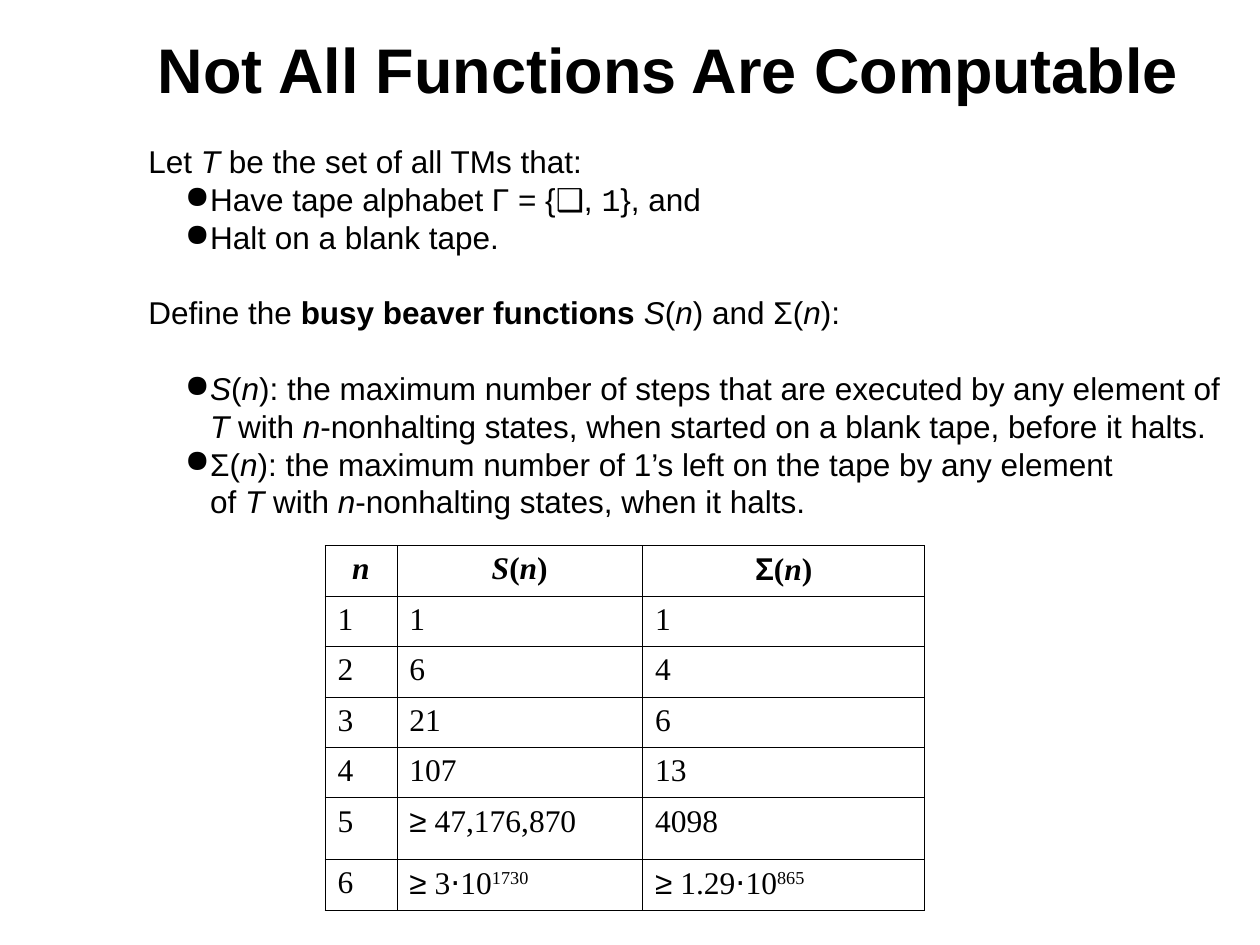
from dataclasses import dataclass

import pptx
import pptx.dml.color
import pptx.enum.text
import pptx.oxml.ns
import pptx.util
from lxml import etree
from pptx.util import Inches, Pt


@dataclass(frozen=True)
class Theme:
    ink: str = "000000"
    sans: str = "Arial"
    serif: str = "Times New Roman"
    mono: str = "Courier New"
    title_size: float = 36
    text_size: float = 18
    line_height: float = 21.6
    border: float = 0.45


THEME = Theme()
ALIGN = pptx.enum.text.PP_ALIGN

# A string is a plain span; a pair is (text, style).
# Styles: i italic, b bold, ^ superscript, m mono, a sans.
T, N, S = ("T", "i"), ("n", "i"), ("S", "i")
TITLE = "Not All Functions Are Computable"
# Each paragraph: (is bullet, blank line before, lines of spans)
BODY = [
    (False, False, [["Let ", T, " be the set of all TMs that:"]]),
    (True, False, [["Have tape alphabet Γ = {❑, ", ("1", "m"), "}, and"]]),
    (True, False, [["Halt on a blank tape."]]),
    (False, True, [["Define the ", ("busy beaver functions ", "b"), S, "(", N,
                    ") and Σ(", N, "):"]]),
    (True, True, [
        [S, "(", N, "): the maximum number of steps that are executed by any element of"],
        [T, " with ", N, "-nonhalting states, when started on a blank tape, before it halts."],
    ]),
    (True, False, [
        ["Σ(", N, "): the maximum number of 1’s left on the tape by any element"],
        ["of ", T, " with ", N, "-nonhalting states, when it halts."],
    ]),
]
AT_LEAST, TIMES = ("≥", "a"), ("⋅", "a")
ROWS = [
    [[N], [S, "(", N, ")"], [("Σ", "a"), "(", N, ")"]],
    [["1"], ["1"], ["1"]],
    [["2"], ["6"], ["4"]],
    [["3"], ["21"], ["6"]],
    [["4"], ["107"], ["13"]],
    [["5"], [AT_LEAST, " 47,176,870"], ["4098"]],
    [["6"], [AT_LEAST, " 3", TIMES, "10", ("1730", "^")],
     [AT_LEAST, " 1.29", TIMES, "10", ("865", "^")]],
]
COLUMN_WIDTHS = [0.57, 1.95, 2.24]
ROW_HEIGHTS = [0.4] * 5 + [0.49, 0.4]


def set_font(font, name, size, bold=False):
    font.name, font.size, font.bold = name, Pt(size), bold
    font.color.rgb = pptx.dml.color.RGBColor.from_string(THEME.ink)


def add_spans(para, spans):
    for item in spans:
        text, style = (item, "") if isinstance(item, str) else item
        span = para.add_run()
        span.text = text
        if style == "i":
            span.font.italic = True
        elif style == "b":
            span.font.bold = True
        elif style == "m":
            span.font.name = THEME.mono
        elif style == "a":
            span.font.name = THEME.sans
        elif style == "^":
            span.font._element.set("baseline", "30000")


def add_bullet(para):
    properties = para._p.get_or_add_pPr()
    properties.set("marL", str(Inches(0.49)))
    properties.set("indent", str(Inches(-0.2)))
    bullet = etree.SubElement(properties, pptx.oxml.ns.qn("a:buChar"))
    bullet.set("char", "●")


def add_borders(cell):
    properties = cell._tc.get_or_add_tcPr()
    for place, side in enumerate(("lnL", "lnR", "lnT", "lnB")):
        line = etree.Element(pptx.oxml.ns.qn("a:" + side), w=str(Pt(THEME.border)))
        fill = etree.SubElement(line, pptx.oxml.ns.qn("a:solidFill"))
        etree.SubElement(fill, pptx.oxml.ns.qn("a:srgbClr"), val=THEME.ink)
        properties.insert(place, line)


def add_title(page):
    title = page.shapes.title
    title.left, title.top, title.width, title.height = map(Inches, (0.75, 0.08, 9.25, 0.92))
    frame = title.text_frame
    frame.text = TITLE
    frame.auto_size = pptx.enum.text.MSO_AUTO_SIZE.NONE
    frame.vertical_anchor = pptx.enum.text.MSO_ANCHOR.MIDDLE
    frame.margin_right = Inches(0.24)
    para = frame.paragraphs[0]
    para.alignment = ALIGN.CENTER
    set_font(para.font, THEME.sans, THEME.title_size, bold=True)


def add_body(page):
    box = page.shapes.add_textbox(*map(Inches, (1.08, 1.08, 8.83, 3.1)))
    frame = box.text_frame
    frame.word_wrap = True
    frame.auto_size = pptx.enum.text.MSO_AUTO_SIZE.SHAPE_TO_FIT_TEXT
    for index, (is_bullet, gap, lines) in enumerate(BODY):
        para = frame.add_paragraph() if index else frame.paragraphs[0]
        if is_bullet:
            add_bullet(para)
        para.line_spacing = Pt(THEME.line_height)
        para.space_before = Pt(THEME.line_height if gap else 0)
        set_font(para.font, THEME.sans, THEME.text_size)
        for number, spans in enumerate(lines):
            if number:
                para.add_line_break()
            add_spans(para, spans)


def add_values(page):
    frame = page.shapes.add_table(
        len(ROWS), len(COLUMN_WIDTHS), Inches(2.58), Inches(4.33),
        Inches(sum(COLUMN_WIDTHS)), Inches(sum(ROW_HEIGHTS)))
    table = frame.table
    table.first_row = table.horz_banding = False
    for column, width in zip(table.columns, COLUMN_WIDTHS):
        column.width = Inches(width)
    for row, height, contents in zip(table.rows, ROW_HEIGHTS, ROWS):
        row.height = Inches(height)
        is_header = contents is ROWS[0]
        for cell, spans in zip(row.cells, contents):
            cell.fill.background()
            add_borders(cell)
            para = cell.text_frame.paragraphs[0]
            para.alignment = ALIGN.CENTER if is_header else ALIGN.JUSTIFY
            set_font(para.font, THEME.serif, THEME.text_size, bold=is_header)
            add_spans(para, spans)


def main():
    deck = pptx.Presentation()
    deck.slide_width, deck.slide_height = Inches(10), Inches(7.5)
    page = deck.slides.add_slide(deck.slide_layouts.get_by_name("Title Only"))
    add_title(page)
    add_body(page)
    add_values(page)
    deck.save("out.pptx")


if __name__ == "__main__":
    main()
